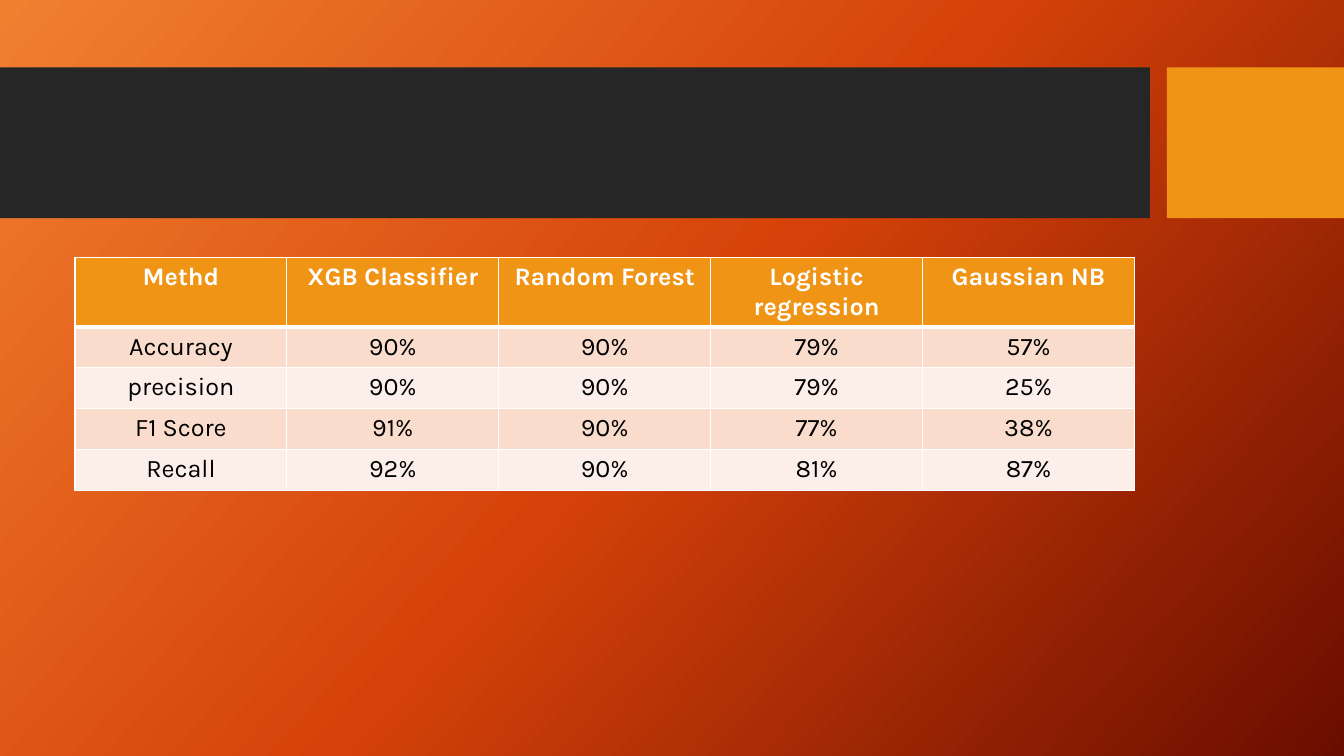
from copy import deepcopy

from pptx import Presentation
from pptx.dml.color import RGBColor
from pptx.enum.shapes import MSO_SHAPE as Shape
from pptx.enum.text import PP_ALIGN as Align
from pptx.oxml import parse_xml
from pptx.oxml.ns import nsdecls, qn
from pptx.util import Cm, Pt


def color(hex_string):
    return RGBColor.from_string(hex_string)


def add_border(cell, side, points):
    """Draw a white line on one side (L, R, T or B) of a table cell."""
    cell._tc.get_or_add_tcPr().append(parse_xml(
        f'<a:ln{side} {nsdecls("a")} w="{Pt(points)}"><a:solidFill>'
        f'<a:srgbClr val="FFFFFF"/></a:solidFill></a:ln{side}>'))


ORANGE = "F09415"
BODY_FILLS = ["F9DCCC", "FCEEE8"]
SCORES = [
    ["Methd", "XGB Classifier", "Random Forest", "Logistic regression", "Gaussian NB"],
    ["Accuracy", "90%", "90%", "79%", "57%"],
    ["precision", "90%", "90%", "79%", "25%"],
    ["F1 Score", "91%", "90%", "77%", "38%"],
    ["Recall", "92%", "90%", "81%", "87%"],
]
HEADER_HEIGHT, ROW_HEIGHT, COLUMN_WIDTH = 1.73, 1.03, 5.34

presentation = Presentation()
presentation.slide_width = Cm(33.87)
presentation.slide_height = Cm(19.05)
slide = presentation.slides.add_slide(presentation.slide_layouts[6])

# Background gradient with a third stop in the middle
background = slide.background.fill
background.gradient()
background.gradient_angle = 318
stop_list = slide._element.find(".//" + qn("a:gsLst"))
stop_list.insert(1, deepcopy(stop_list[0]))
for stop, position, stop_color in zip(
        background.gradient_stops, [0, 0.5, 1], ["F18031", "D54209", "6A0D00"]):
    stop.position = position
    stop.color.rgb = color(stop_color)

# Title band and accent block
for left, width, fill in [(0, 28.98, "262626"), (29.41, 4.46, ORANGE)]:
    band = slide.shapes.add_shape(Shape.RECTANGLE, Cm(left), Cm(1.7), Cm(width), Cm(3.8))
    band.shadow.inherit = False
    band.fill.solid()
    band.fill.fore_color.rgb = color(fill)
    band.line.fill.background()

# Score table
row_count, column_count = len(SCORES), len(SCORES[0])
table = slide.shapes.add_table(
    row_count, column_count, Cm(1.89), Cm(6.49), Cm(COLUMN_WIDTH * column_count),
    Cm(HEADER_HEIGHT + ROW_HEIGHT * (row_count - 1))).table
for column in table.columns:
    column.width = Cm(COLUMN_WIDTH)

for row_index, texts in enumerate(SCORES):
    is_header = row_index == 0
    table.rows[row_index].height = Cm(HEADER_HEIGHT if is_header else ROW_HEIGHT)
    for column_index, text in enumerate(texts):
        cell = table.cell(row_index, column_index)
        add_border(cell, "L", 1)
        add_border(cell, "R", 1)
        add_border(cell, "T", 3 if row_index == 1 else 1)
        add_border(cell, "B", 3 if is_header else 1)
        cell.fill.solid()
        cell.fill.fore_color.rgb = color(ORANGE if is_header else BODY_FILLS[(row_index - 1) % 2])
        cell.text = text
        paragraph = cell.text_frame.paragraphs[0]
        paragraph.alignment = Align.CENTER
        paragraph.font.name = "Karla"
        paragraph.font.size = Pt(18)
        paragraph.font.bold = is_header
        paragraph.font.color.rgb = color("FFFFFF" if is_header else "000000")

presentation.save("out.pptx")
